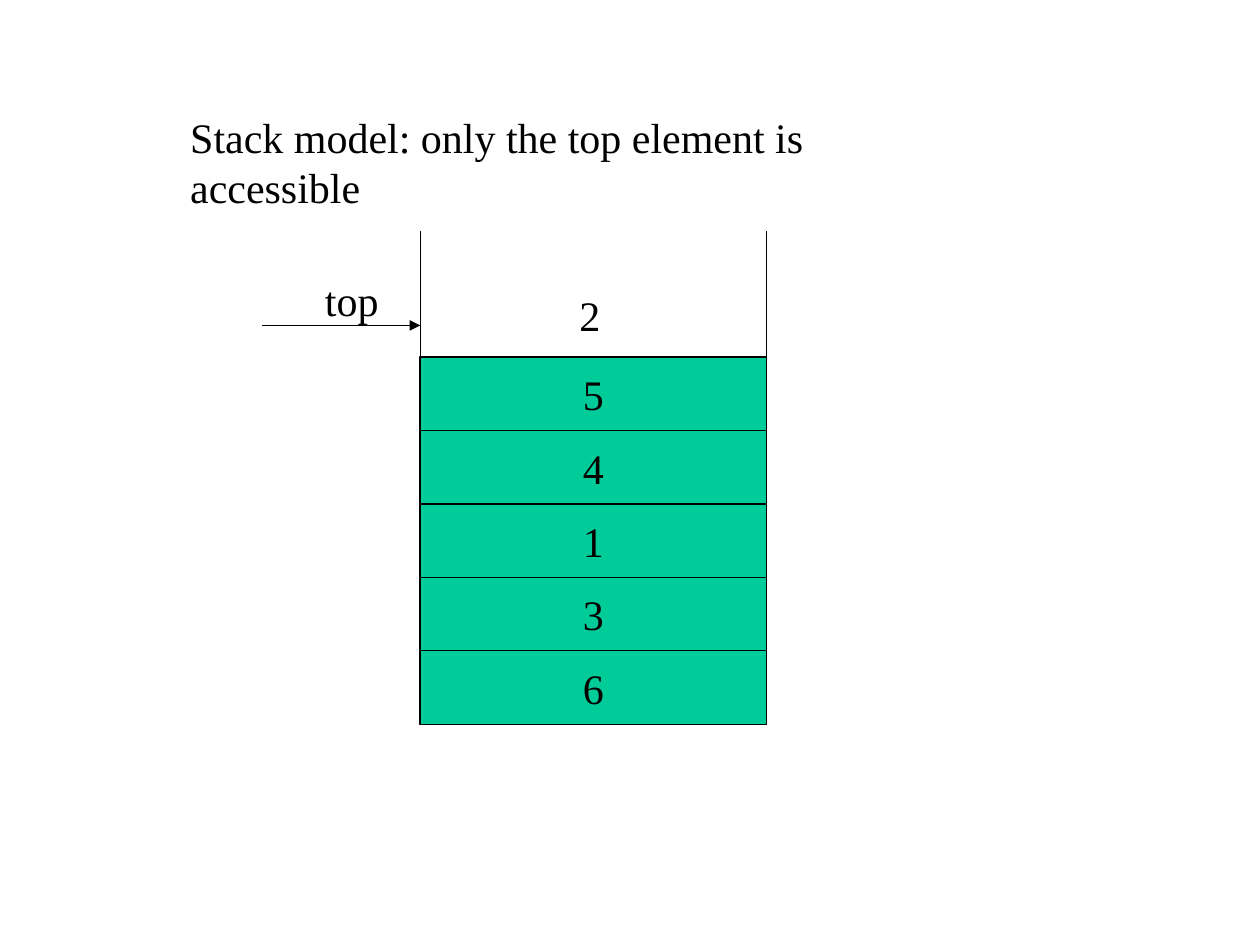
from lxml import etree
from pptx import Presentation
from pptx.dml.color import RGBColor
from pptx.enum.shapes import MSO_CONNECTOR, MSO_SHAPE
from pptx.enum.text import MSO_ANCHOR, MSO_AUTO_SIZE, PP_ALIGN
from pptx.oxml.ns import qn
from pptx.util import Cm, Pt

STRAIGHT = MSO_CONNECTOR.STRAIGHT
RECTANGLE = MSO_SHAPE.RECTANGLE
TOP, MIDDLE = MSO_ANCHOR.TOP, MSO_ANCHOR.MIDDLE
LEFT, CENTER = PP_ALIGN.LEFT, PP_ALIGN.CENTER
NO_AUTOFIT = MSO_AUTO_SIZE.NONE

BLACK = RGBColor(0x00, 0x00, 0x00)
GREEN = RGBColor(0x00, 0xCC, 0x99)
LINE_WIDTH = Pt(0.75)

# Stack geometry in centimetres
STACK_LEFT, STACK_WIDTH = 8.47, 6.98
STACK_RIGHT = STACK_LEFT + STACK_WIDTH
OPEN_TOP, CELLS_TOP, CELL_HEIGHT = 4.66, 7.2, 1.48
STORED = ["5", "4", "1", "3", "6"]
STACK_BOTTOM = CELLS_TOP + len(STORED) * CELL_HEIGHT
ARROW_Y = 6.56


def write(shape, text, align=LEFT, anchor=TOP):
    frame = shape.text_frame
    frame.text = text
    frame.word_wrap = False
    frame.auto_size = NO_AUTOFIT
    frame.vertical_anchor = anchor
    paragraph = frame.paragraphs[0]
    paragraph.alignment = align
    font = paragraph.runs[0].font
    font.name = "Times New Roman"
    font.size = Pt(24)
    font.color.rgb = BLACK


def draw_line(x1, y1, x2, y2):
    line = slide.shapes.add_connector(STRAIGHT, Cm(x1), Cm(y1), Cm(x2), Cm(y2))
    line.line.color.rgb = BLACK
    line.line.width = LINE_WIDTH
    etree.SubElement(line._element.spPr, qn("a:effectLst"))
    return line


prs = Presentation()
prs.slide_width, prs.slide_height = Cm(25.4), Cm(19.05)
slide = prs.slides.add_slide(prs.slide_layouts[5])

# Title
title = slide.shapes.title
title.left, title.top, title.width, title.height = Cm(3.58), Cm(2.12), Cm(16.51), Cm(1.27)
write(title, "Stack model: only the top element is accessible")

# Container, open at the top
draw_line(STACK_LEFT, OPEN_TOP, STACK_LEFT, STACK_BOTTOM)
draw_line(STACK_LEFT, STACK_BOTTOM, STACK_RIGHT, STACK_BOTTOM)
draw_line(STACK_RIGHT, STACK_BOTTOM, STACK_RIGHT, OPEN_TOP)

# Stored elements
for row, value in enumerate(STORED):
    cell = slide.shapes.add_shape(
        RECTANGLE, Cm(STACK_LEFT), Cm(CELLS_TOP + row * CELL_HEIGHT),
        Cm(STACK_WIDTH), Cm(CELL_HEIGHT))
    cell.shadow.inherit = False
    cell.fill.solid()
    cell.fill.fore_color.rgb = GREEN
    cell.line.color.rgb = BLACK
    cell.line.width = LINE_WIDTH
    write(cell, value, CENTER, MIDDLE)

# Arrow to the top element
top_arrow = draw_line(5.28, ARROW_Y, STACK_LEFT, ARROW_Y)
etree.SubElement(top_arrow.line._get_or_add_ln(), qn("a:tailEnd"), type="triangle")

# Top element and its label
for text, left, top, width in [("2", 11.43, 5.72, 0.91), ("top", 6.3, 5.41, 1.57)]:
    label = slide.shapes.add_textbox(Cm(left), Cm(top), Cm(width), Cm(1.27))
    write(label, text)

prs.save("out.pptx")
